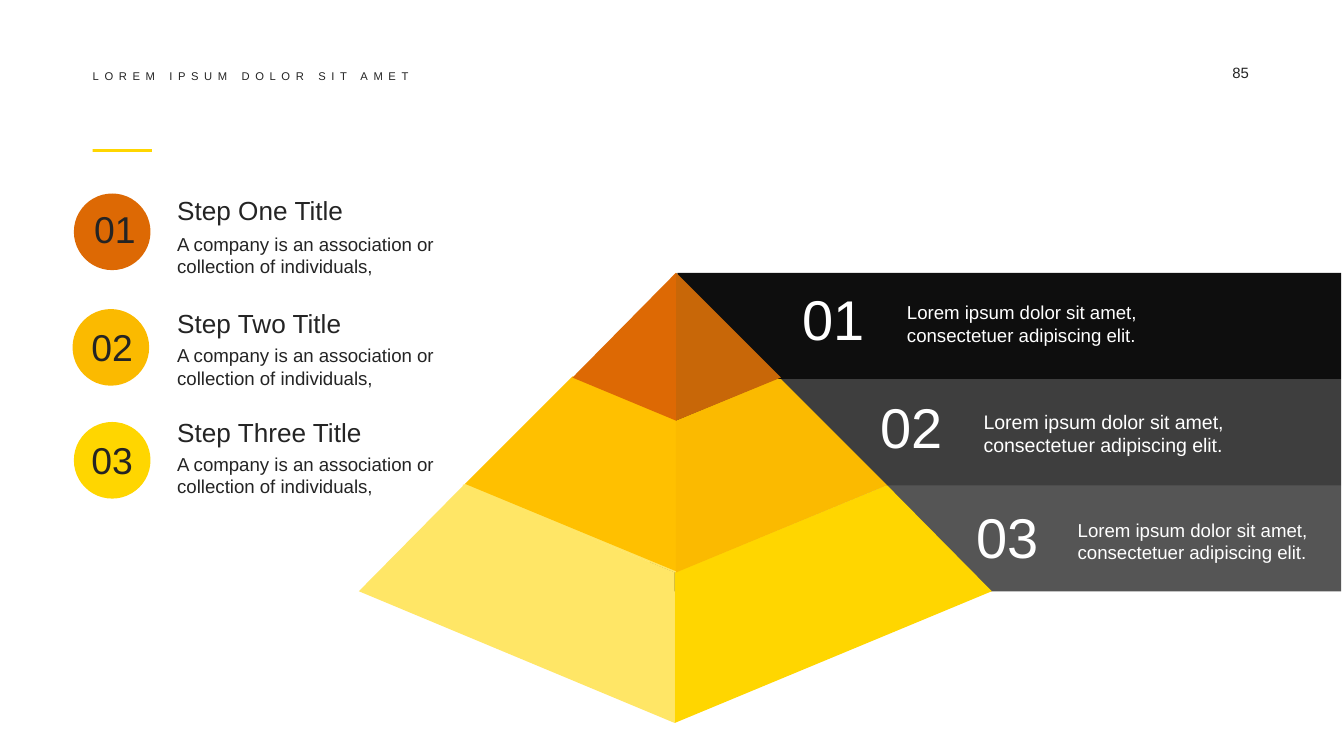
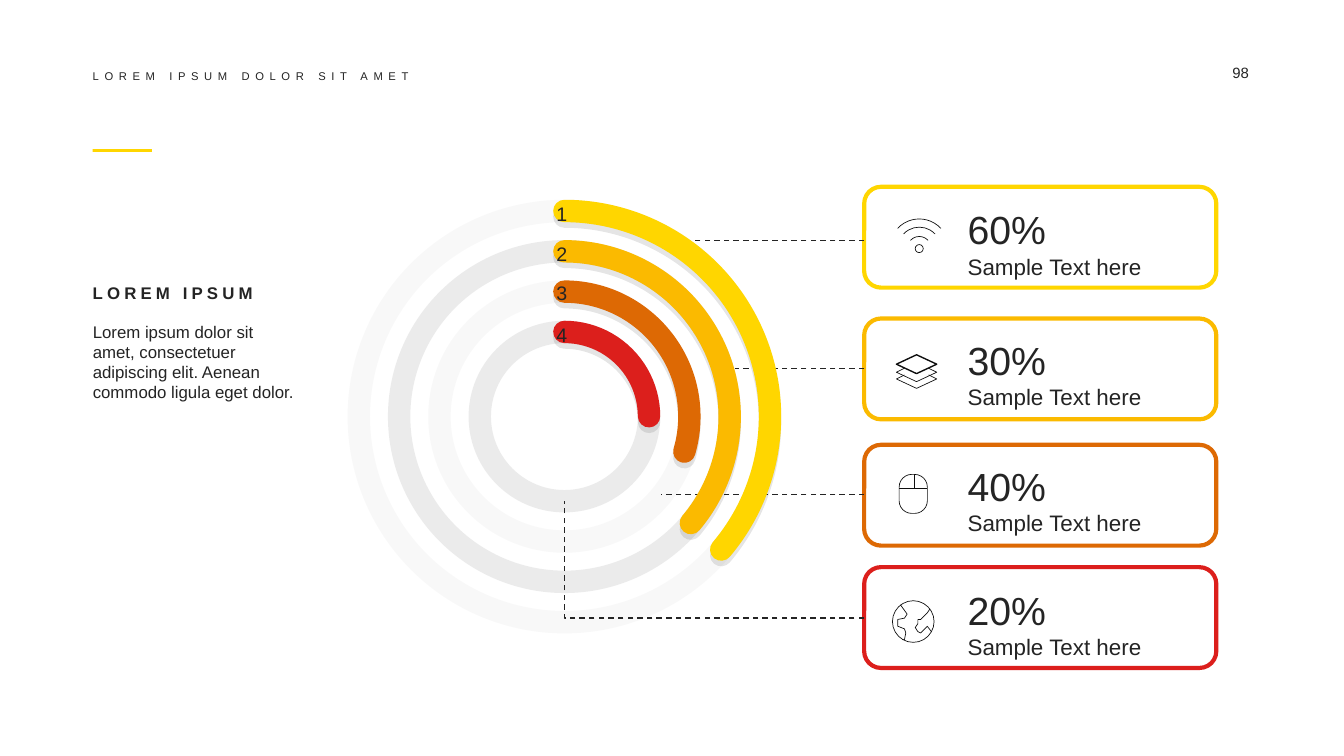
from lxml import etree
from pptx import Presentation
from pptx.dml.color import RGBColor
from pptx.enum.dml import MSO_LINE
from pptx.enum.shapes import MSO_CONNECTOR, MSO_SHAPE
from pptx.enum.text import MSO_ANCHOR, PP_ALIGN
from pptx.oxml.ns import qn
from pptx.util import Pt

PX = 9144
RECT, ROUND = MSO_SHAPE.RECTANGLE, MSO_SHAPE.ROUNDED_RECTANGLE
OVAL, ARC, DIAMOND = MSO_SHAPE.OVAL, MSO_SHAPE.ARC, MSO_SHAPE.DIAMOND
STRAIGHT, DASH = MSO_CONNECTOR.STRAIGHT, MSO_LINE.DASH
TOP, MIDDLE = MSO_ANCHOR.TOP, MSO_ANCHOR.MIDDLE
LEFT, CENTER = PP_ALIGN.LEFT, PP_ALIGN.CENTER


class Theme:
    font = "Arial"
    ink, black, white, grey = "242424", "0E0E0E", "FFFFFF", "BFBFBF"
    yellow, amber, orange, red = "FFD600", "FBBA00", "DD6904", "DC1F1C"
    pale_yellow, gold, brown = "FFE666", "FFC000", "C86708"
    header, page, small, body, label = 6, 8, 9, 10, 10.5
    caption, title, badge, percent, number = 12, 14, 20, 21, 30
    hairline, thin, frame, ring = 0.37, 0.75, 2.25, 12


def style(shape, fill=None, line=None, width=1, alpha=100, dash=None, shadow=False):
    if fill:
        shape.fill.solid()
        shape.fill.fore_color.rgb = RGBColor.from_string(fill)
    elif hasattr(shape, "fill"):
        shape.fill.background()
    if line:
        shape.line.color.rgb = RGBColor.from_string(line)
        shape.line.width = Pt(width)
        shape.line.dash_style = dash
    else:
        shape.line.fill.background()
    spPr = shape.element.spPr
    if alpha < 100:
        for color in spPr.iter(qn("a:srgbClr")):
            etree.SubElement(color, qn("a:alpha"), val=str(alpha * 1000))
    effects = etree.SubElement(spPr, qn("a:effectLst"))
    if shadow:
        outer = etree.SubElement(effects, qn("a:outerShdw"), blurRad="0",
                                 dist=str(Pt(3)), dir="5400000", rotWithShape="0")
        color = etree.SubElement(outer, qn("a:srgbClr"), val="000000")
        etree.SubElement(color, qn("a:alpha"), val="10000")


def add_text(s, box, lines, color=Theme.ink, insets=(0, 0, 0, 0), anchor=TOP,
             align=LEFT, bold=False, spacing=0):
    tf = s.shapes.add_textbox(*(v * PX for v in box)).text_frame
    tf.word_wrap = True
    tf.vertical_anchor = anchor
    tf.margin_left, tf.margin_top, tf.margin_right, tf.margin_bottom = (v * PX for v in insets)
    for i, (text, size) in enumerate(lines):
        p = tf.add_paragraph() if i else tf.paragraphs[0]
        p.alignment = align
        r = p.add_run()
        r.text = text
        r.font.name = Theme.font
        r.font.size = Pt(size)
        r.font.bold = bold
        r.font.color.rgb = RGBColor.from_string(color)
        if spacing:
            r.font._element.set("spc", str(spacing))


prs = Presentation()
prs.slide_width, prs.slide_height = 1000 * PX, 1000 * PX * 9 // 16
slides = []
for page in ("85", "98"):
    s = prs.slides.add_slide(prs.slide_layouts[6])
    style(s.shapes.add_shape(RECT, 69 * PX, 111 * PX, 44 * PX, 2 * PX), Theme.yellow)
    add_text(s, (917, 47, 43, 16), [(page, Theme.page)])
    add_text(s, (69, 51, 717, 11), [("LOREM IPSUM DOLOR SIT AMET", Theme.header)],
             anchor=MIDDLE, spacing=300)
    slides.append(s)

pyramid, rings = slides

s = pyramid
layers = [
    (483, 361, 70, [
        (Theme.pale_yellow, [(267, 440), (502, 538), (502, 426), (345, 361)]),
        (Theme.yellow, [(502, 538), (738, 440), (660, 361), (502, 426)]),
        (Theme.pale_yellow, [(344, 361), (502, 302), (660, 361), (502, 426)])]),
    (483, 282, 80, [
        (Theme.gold, [(426, 280), (346, 360), (503, 425), (503, 312)]),
        (Theme.amber, [(503, 313), (503, 426), (660, 361), (580, 281)])]),
    (504, 203, 100, [
        (Theme.brown, [(503, 203), (503, 313), (581, 281)]),
        (Theme.orange, [(503, 203), (426, 281), (503, 313)])]),
]
for left, top, alpha, faces in layers:
    band = s.shapes.add_shape(RECT, left * PX, top * PX, (998 - left) * PX, 79 * PX)
    style(band, Theme.black, alpha=alpha)
    for color, points in faces:
        fb = s.shapes.build_freeform(*points[0], scale=PX)
        fb.add_line_segments(points[1:])
        style(fb.convert_to_shape(), color)

band_texts = [
    ("01", 584, 209, 665, 219, Theme.body),
    ("02", 642, 289, 722, 300, Theme.label),
    ("03", 713, 371, 792, 381, Theme.body),
]
for number, x, y, text_x, text_y, size in band_texts:
    add_text(s, (x, y, 73, 56), [(number, Theme.number)], Theme.white,
             anchor=MIDDLE, align=CENTER)
    add_text(s, (text_x, text_y, 235, 45),
             [("Lorem ipsum dolor sit amet, consectetuer adipiscing elit.", size)],
             Theme.white, (10, 5, 10, 5))

steps = [
    ("01", "Step One Title", Theme.orange, 55, 144, 49, 142, 140, 168),
    ("02", "Step Two Title", Theme.amber, 54, 230, 47, 230, 224, 251),
    ("03", "Step Three Title", Theme.yellow, 55, 314, 47, 314, 305, 332),
]
for number, title, color, x, y, number_x, number_y, title_y, body_y in steps:
    style(s.shapes.add_shape(OVAL, x * PX, y * PX, 57 * PX, 57 * PX), color)
    add_text(s, (number_x, number_y, 73, 56), [(number, Theme.badge)],
             anchor=MIDDLE, align=CENTER)
    add_text(s, (122, title_y, 160, 34), [(title, Theme.title)], insets=(10, 5, 10, 5))
    add_text(s, (122, body_y, 242, 45),
             [("A company is an association or", Theme.body),
              ("collection of individuals,", Theme.body)], insets=(10, 5, 10, 5))

s = rings
add_text(s, (69, 210, 130, 15), [("LOREM IPSUM", Theme.small)],
         anchor=MIDDLE, bold=True, spacing=220)
add_text(s, (69, 239, 152, 61),
         [("Lorem ipsum dolor sit amet, consectetuer adipiscing elit. "
           "Aenean commodo ligula eget dolor.", Theme.small)])

cards = [
    ("60%", Theme.yellow, 139, 149),
    ("30%", Theme.amber, 237, 246),
    ("40%", Theme.orange, 331, 340),
    ("20%", Theme.red, 422, 432),
]
for percent, color, y, text_y in cards:
    card = s.shapes.add_shape(ROUND, 643 * PX, y * PX, 262 * PX, 75 * PX)
    style(card, line=color, width=Theme.frame)
    add_text(s, (700, text_y, 196, 67),
             [(percent, Theme.percent), ("Sample Text here", Theme.caption)],
             insets=(20, 4, 20, 8))

arcs = [
    (Theme.yellow, 40.3, 10, 146),
    (Theme.amber, 40.1, 30, 176),
    (Theme.orange, 16.3, 10, 205),
    (Theme.red, 359.8, 30, 236),
]
ring_boxes = [[v * PX for v in (267 + 30 * i, 157 + 30 * i, 306 - 60 * i, 306 - 60 * i)]
              for i in range(4)]
for box, (color, end, alpha, label_y) in zip(ring_boxes, arcs):
    style(s.shapes.add_shape(OVAL, *box), line=Theme.grey, width=Theme.ring, alpha=alpha)

fb = s.shapes.build_freeform(643, 460, scale=PX)
fb.add_line_segments([(420, 460), (420, 373)], close=False)
style(fb.convert_to_shape(), line=Theme.ink, width=Theme.thin, dash=DASH)
for x, y in ((492, 368), (547, 274), (515, 179)):
    leader = s.shapes.add_connector(STRAIGHT, 643 * PX, y * PX, x * PX, y * PX)
    style(leader, line=Theme.ink, width=Theme.thin, dash=DASH)

for i, (box, (color, end, alpha, label_y)) in enumerate(zip(ring_boxes, arcs), 1):
    arc = s.shapes.add_shape(ARC, *box)
    arc.adjustments[0], arc.adjustments[1] = 270 * 0.6, end * 0.6
    style(arc, line=color, width=Theme.ring, shadow=True)
    arc.element.spPr.find(qn("a:ln")).set("cap", "rnd")
    add_text(s, (407, label_y, 23, 25), [(str(i), Theme.label)], insets=(7, 4, 7, 4))

for radius in (22, 16, 9):
    wave = s.shapes.add_shape(ARC, (684 - radius) * PX, (185 - radius) * PX,
                              2 * radius * PX, 2 * radius * PX)
    wave.adjustments[0], wave.adjustments[1] = 223 * 0.6, 317 * 0.6
    style(wave, line=Theme.black, width=Theme.hairline)

mouse = s.shapes.add_shape(ROUND, 669 * PX, 353 * PX, 21 * PX, 29 * PX)
mouse.adjustments[0] = 0.45
icon_parts = [
    (mouse, Theme.hairline),
    (s.shapes.add_connector(STRAIGHT, 680 * PX, 353 * PX, 680 * PX, 363 * PX), Theme.hairline),
    (s.shapes.add_connector(STRAIGHT, 669 * PX, 363 * PX, 690 * PX, 363 * PX), Theme.hairline),
    (s.shapes.add_shape(OVAL, 681 * PX, 182 * PX, 6 * PX, 6 * PX), Theme.hairline),
    (s.shapes.add_shape(OVAL, 664 * PX, 447 * PX, 31 * PX, 31 * PX), Theme.hairline),
    (s.shapes.add_shape(DIAMOND, 667 * PX, 264 * PX, 30 * PX, 14 * PX), Theme.thin),
]
for part, width in icon_parts:
    style(part, line=Theme.black, width=width)

sheets = [[(691, y), (697, y + 3), (682, y + 10), (667, y + 3), (673, y)] for y in (279, 274)]
continents = [
    [(670, 450), (675, 457), (673, 460), (668, 461), (668, 466), (673, 468),
     (674, 471), (673, 476), (672, 476)],
    [(692, 453), (690, 456), (685, 461), (683, 461), (683, 464), (681, 467),
     (683, 470), (685, 471), (688, 468), (690, 466), (693, 470)],
]
for points in sheets + continents:
    fb = s.shapes.build_freeform(*points[0], scale=PX)
    fb.add_line_segments(points[1:], close=False)
    style(fb.convert_to_shape(), line=Theme.black, width=Theme.hairline)

prs.save("out.pptx")
